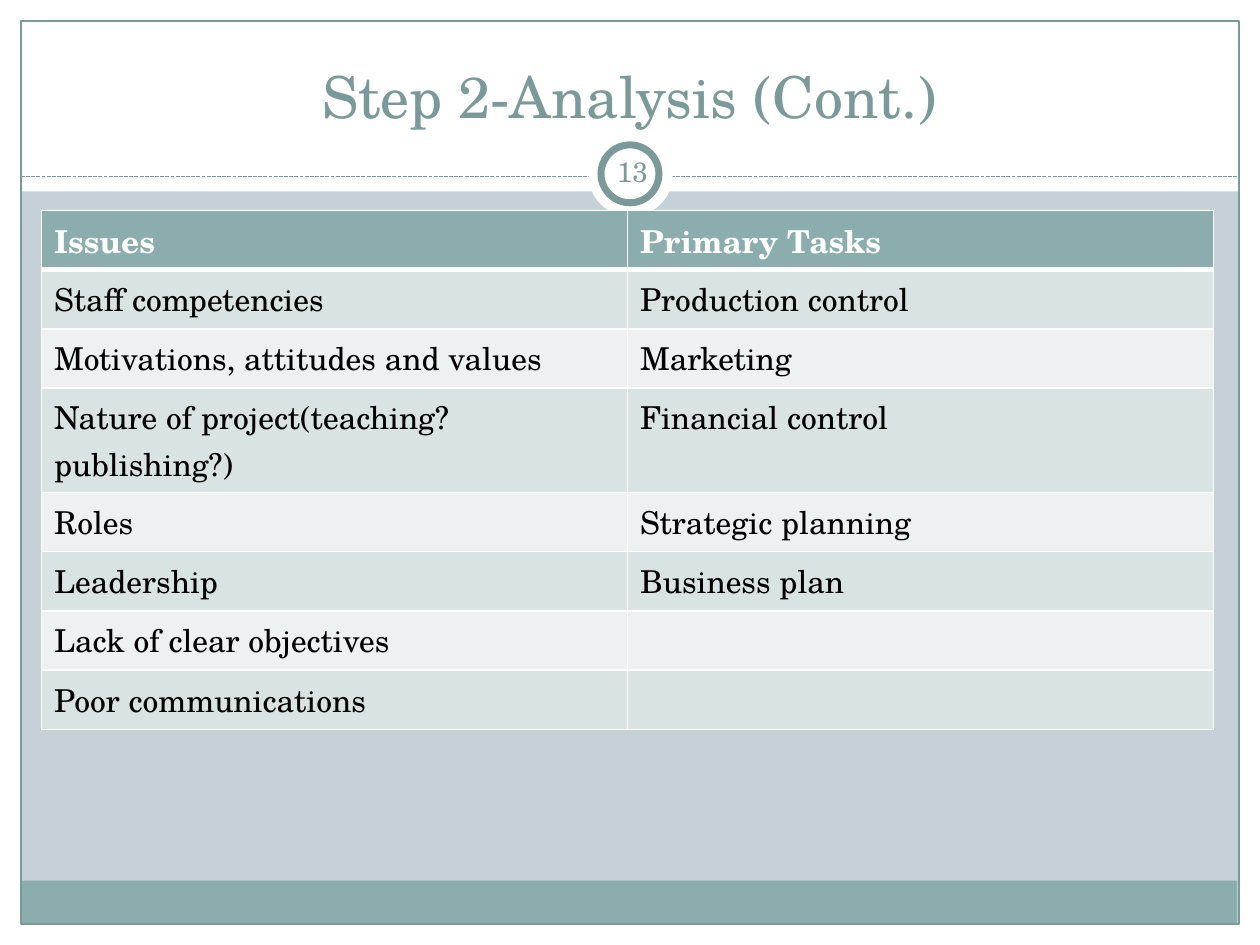
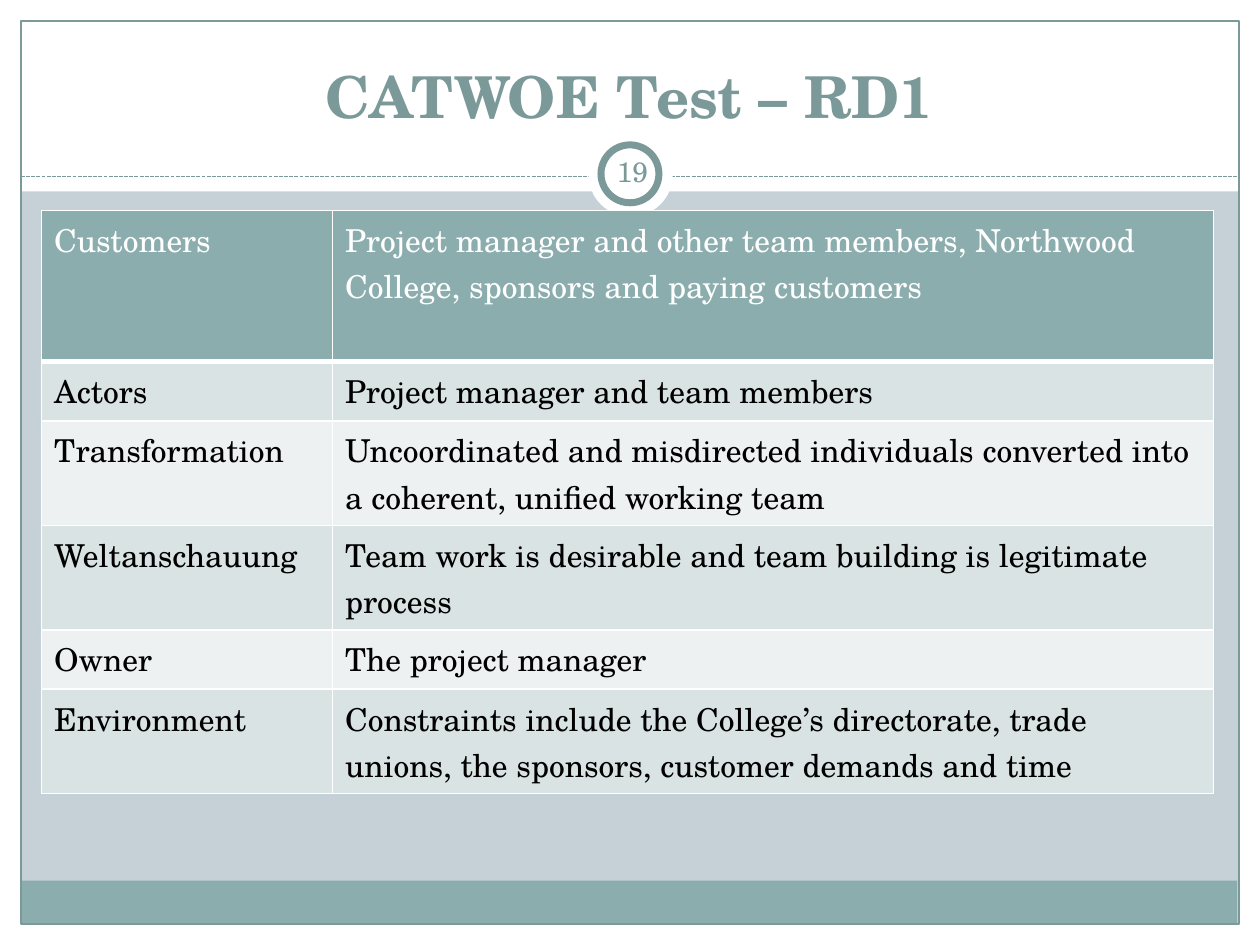
from dataclasses import dataclass

from lxml import etree
from pptx import Presentation
from pptx import util as u
from pptx.dml.color import RGBColor
from pptx.enum import dml, shapes, text
from pptx.oxml import ns


@dataclass(frozen=True)
class Theme:
    face: str = "TeX Gyre Schola"
    back: str = "C5D1D7"
    white: str = "FFFFFF"
    black: str = "000000"
    band: str = "8CADAE"
    ink: str = "7C999A"
    odd: str = "DAE3E3"
    even: str = "EEF1F2"
    head: int = 33
    num: int = 16
    body: int = 18


T = Theme()
WIDE, HIGH, EDGE = 10, 7.5, 1 / 6
RULE = 1.4
TALL = {1: 0.47, 2: 0.83, 3: 1.2}

ISSUES = [
    (1, "Issues", "Primary Tasks"),
    (1, "Staff competencies", "Production control"),
    (1, "Motivations, attitudes and values", "Marketing"),
    (2, "Nature of project(teaching?publishing?)", "Financial control"),
    (1, "Roles", "Strategic planning"),
    (1, "Leadership", "Business plan"),
    (1, "Lack of clear objectives", ""),
    (1, "Poor communications", ""),
]

CATWOE = [
    (3, "Customers", "Project manager and other team members, Northwood "
                     "College, sponsors and paying customers"),
    (1, "Actors", "Project manager and team members"),
    (2, "Transformation", "Uncoordinated and misdirected individuals "
                          "converted into a coherent, unified working team"),
    (2, "Weltanschauung", "Team work is desirable and team building is "
                          "legitimate process"),
    (1, "Owner", "The project manager"),
    (2, "Environment", "Constraints include the College’s directorate, trade "
                       "unions, the sponsors, customer demands and time"),
]


def rgb(tint):
    return RGBColor.from_string(tint)


def place(*box):
    return [u.Inches(side) for side in box]


def style(para, size, tint, bold=False):
    font = para.font
    font.name, font.size, font.bold = T.face, u.Pt(size), bold
    font.color.rgb = rgb(tint)


def shape(slide, kind, box, fill=None, line=None, width=0.75):
    item = slide.shapes.add_shape(kind, *place(*box))
    item.shadow.inherit = False
    if fill:
        item.fill.solid()
        item.fill.fore_color.rgb = rgb(fill)
    else:
        item.fill.background()
    if line:
        item.line.color.rgb = rgb(line)
        item.line.width = u.Pt(width)
    else:
        item.line.fill.background()


def divide(slide):
    line = slide.shapes.add_connector(
        shapes.MSO_CONNECTOR.STRAIGHT, *place(EDGE, RULE, WIDE - EDGE, RULE))
    line.line.color.rgb = rgb(T.ink)
    line.line.width = u.Pt(0.75)
    line.line.dash_style = dml.MSO_LINE.SQUARE_DOT
    etree.SubElement(line.element.spPr, ns.qn("a:effectLst"))


def frame(slide):
    rect, oval = shapes.MSO_SHAPE.RECTANGLE, shapes.MSO_SHAPE.OVAL
    inner = WIDE - 2 * EDGE
    for box in [(0, HIGH - EDGE, WIDE, EDGE), (0, 0, WIDE, 1.52),
                (0, 0, EDGE, HIGH), (WIDE - EDGE, 0, EDGE, HIGH)]:
        shape(slide, rect, box, T.white)
    shape(slide, rect, (0.16, 6.99, 9.66, 0.34), T.band)
    shape(slide, rect, (EDGE, EDGE, inner, HIGH - 2 * EDGE), line=T.ink)
    divide(slide)
    shape(slide, oval, (4.67, 1.05, 0.67, 0.67), T.white)
    shape(slide, oval, (4.77, 1.15, 0.46, 0.46), T.white, T.ink, 4)


def share(deck, layout):
    layout.background.fill.solid()
    layout.background.fill.fore_color.rgb = rgb(T.back)
    for holder in list(layout.placeholders)[1:]:
        holder.element.getparent().remove(holder.element)
    slide = deck.slides.add_slide(layout)
    frame(slide)
    for item in list(slide.shapes):
        if not item.is_placeholder:
            layout.shapes.element.append(item.element)
    return slide


def title(slide, words, bold):
    item = slide.shapes.title
    item.left, item.top, item.width, item.height = place(0.33, 0.25, 9.33, 0.83)
    box = item.text_frame
    box.text = words
    box.auto_size = text.MSO_AUTO_SIZE.NONE
    box.vertical_anchor = text.MSO_ANCHOR.BOTTOM
    para = box.paragraphs[0]
    para.alignment = text.PP_ALIGN.CENTER
    style(para, T.head, T.ink, bold)


def number(slide, count):
    box = slide.shapes.add_textbox(*place(4.77, 1.12, 0.5, 0.48)).text_frame
    box.text = str(count)
    box.word_wrap = True
    box.vertical_anchor = text.MSO_ANCHOR.MIDDLE
    box.margin_left = box.margin_right = u.Inches(0.05)
    box.margin_top = box.margin_bottom = u.Inches(0.05)
    para = box.paragraphs[0]
    para.alignment = text.PP_ALIGN.CENTER
    style(para, T.num, T.ink)


def border(cell, top, base):
    props = cell._tc.get_or_add_tcPr()
    sides = {"L": 1, "R": 1, "T": top, "B": base}
    for spot, (side, width) in enumerate(sides.items()):
        line = etree.Element(ns.qn(f"a:ln{side}"), w=str(u.Pt(width)))
        fill = etree.SubElement(line, ns.qn("a:solidFill"))
        etree.SubElement(fill, ns.qn("a:srgbClr"), val=T.white)
        props.insert(spot, line)


def table(slide, rows, cols, bold):
    high = sum(TALL[lines] for lines, *_ in rows)
    box = place(0.33, 1.67, sum(cols), high)
    grid = slide.shapes.add_table(len(rows), len(cols), *box).table
    for col, width in zip(grid.columns, cols):
        col.width = u.Inches(width)
    for r, (lines, *row) in enumerate(rows):
        grid.rows[r].height = u.Inches(TALL[lines])
        fill = (T.odd if r % 2 else T.even) if r else T.band
        for c, words in enumerate(row):
            cell = grid.cell(r, c)
            cell.text = words
            cell.fill.solid()
            cell.fill.fore_color.rgb = rgb(fill)
            style(cell.text_frame.paragraphs[0], T.body,
                  T.black if r else T.white, bold and r == 0)
            border(cell, 3 if r == 1 else 1, 1 if r else 3)


def main():
    deck = Presentation()
    deck.slide_width, deck.slide_height = place(WIDE, HIGH)
    layout = deck.slide_layouts[5]

    first = share(deck, layout)
    title(first, "Step 2-Analysis (Cont.)", False)
    number(first, 13)
    table(first, ISSUES, (4.65, 4.65), True)

    second = deck.slides.add_slide(layout)
    title(second, "CATWOE Test – RD1", True)
    number(second, 19)
    table(second, CATWOE, (2.31, 6.99), False)

    deck.save("out.pptx")


if __name__ == "__main__":
    main()
